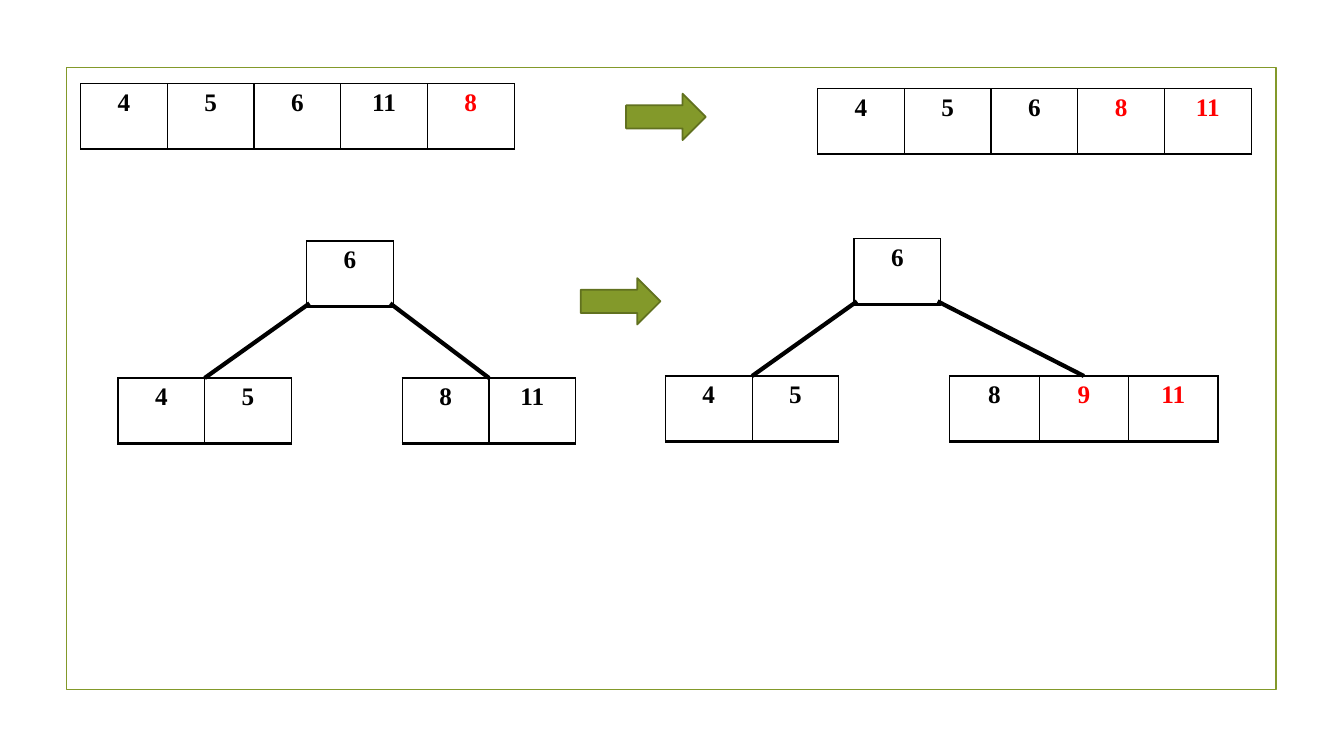
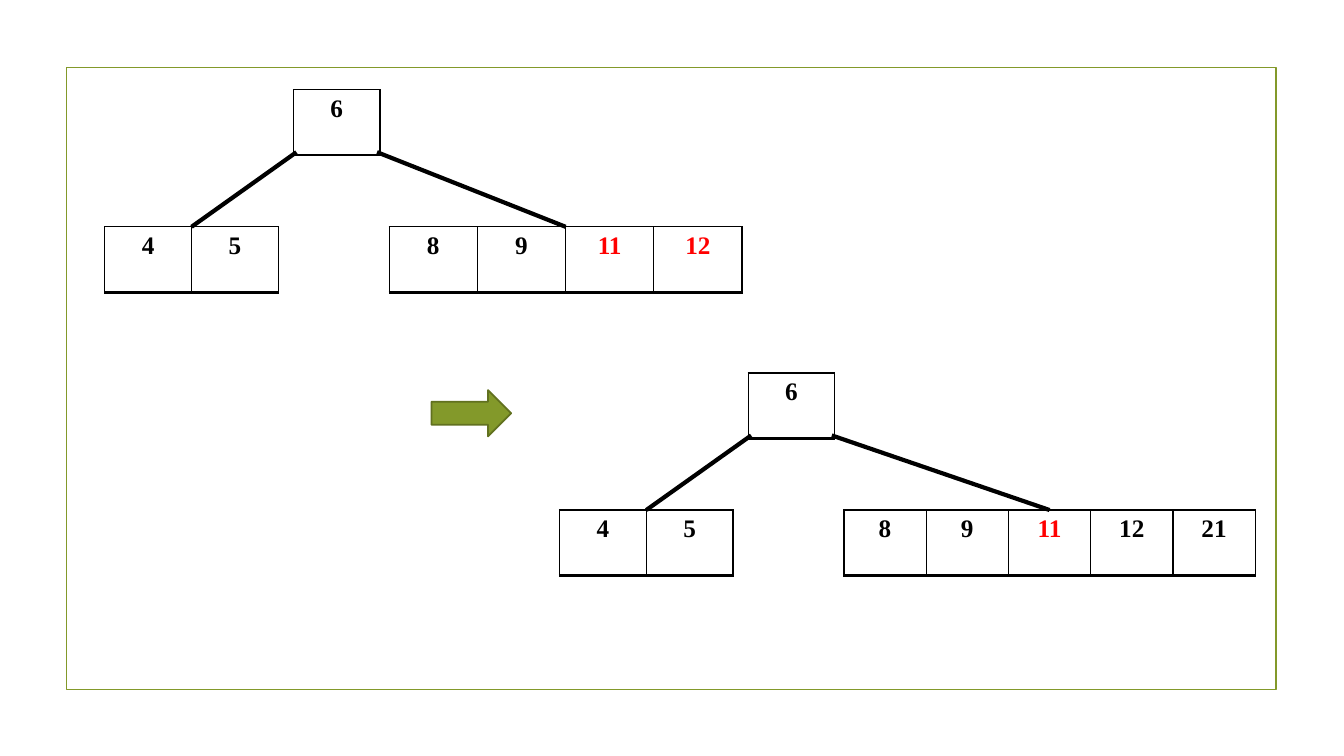
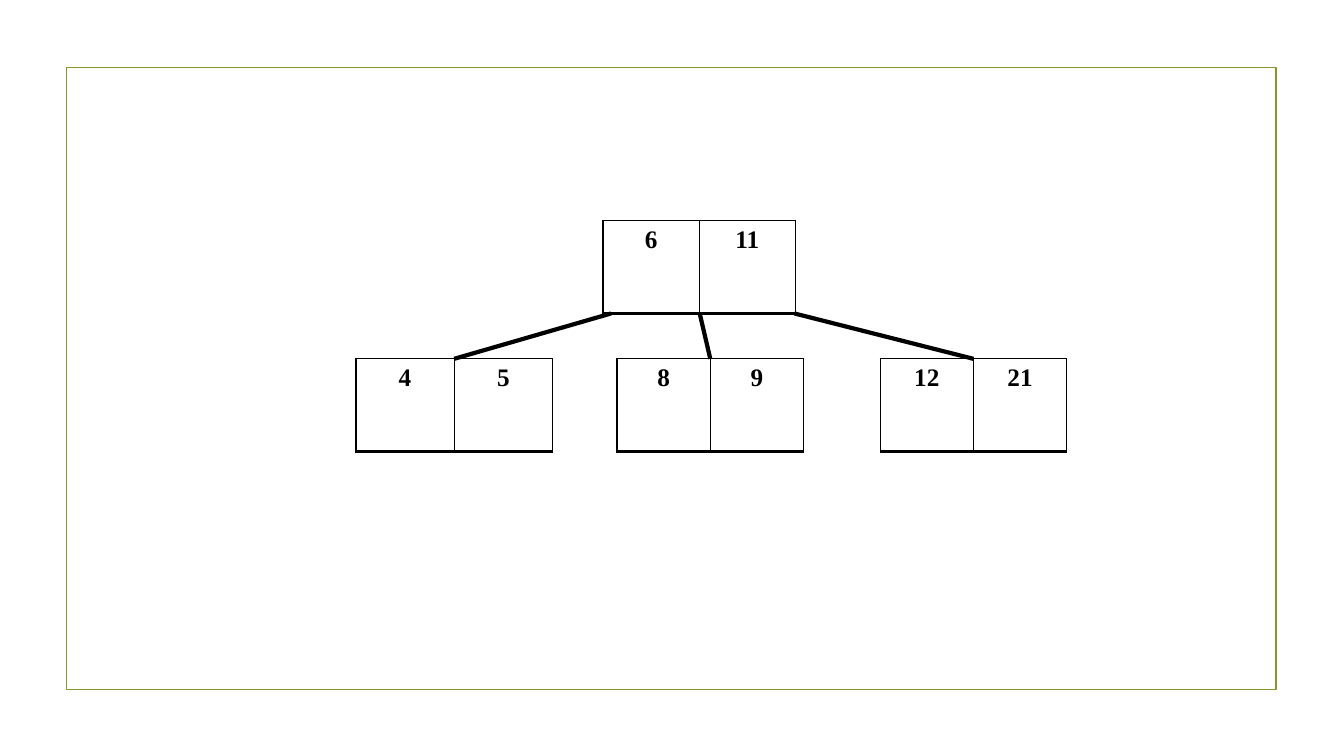
from lxml import etree
from pptx import Presentation
from pptx.dml.color import RGBColor
from pptx.enum.shapes import MSO_CONNECTOR, MSO_SHAPE
from pptx.enum.text import PP_ALIGN
from pptx.oxml.ns import qn
from pptx.util import Inches, Pt

RECTANGLE = MSO_SHAPE.RECTANGLE
RIGHT_ARROW = MSO_SHAPE.RIGHT_ARROW
STRAIGHT = MSO_CONNECTOR.STRAIGHT
CENTER = PP_ALIGN.CENTER

COLORS = {"accent": "83992A", "accent_dark": "61711F", "ink": "000000", "new": "FF0000"}
FONT = "Times New Roman"
BORDERS = {"a:lnL": 1, "a:lnR": 1, "a:lnT": 1, "a:lnB": 2}
CELL_HEIGHT = 0.65
PAIR_WIDTH = 1.72


class TreeDeck:
    """Draws framed slides of key arrays and B-trees in one style."""

    def __init__(self):
        self.presentation = Presentation()
        self.presentation.slide_width = Inches(13.33)
        self.presentation.slide_height = Inches(7.5)
        self.slide = None

    def color(self, name):
        return RGBColor.from_string(COLORS[name])

    def new_slide(self):
        self.slide = self.presentation.slides.add_slide(self.presentation.slide_layouts[6])
        self.outline(RECTANGLE, 0.66, 0.67, 12, 6.17, "accent").fill.background()

    def outline(self, kind, left, top, width, height, line):
        shape = self.slide.shapes.add_shape(
            kind, Inches(left), Inches(top), Inches(width), Inches(height))
        shape.shadow.inherit = False
        shape.line.color.rgb = self.color(line)
        shape.line.width = Pt(1.25)
        return shape

    def arrow(self, left, top):
        arrow = self.outline(RIGHT_ARROW, left, top, 0.79, 0.46, "accent_dark")
        arrow.fill.solid()
        arrow.fill.fore_color.rgb = self.color("accent")

    def branch(self, x1, y1, x2, y2):
        branch = self.slide.shapes.add_connector(
            STRAIGHT, Inches(x1), Inches(y1), Inches(x2), Inches(y2))
        branch.line.color.rgb = self.color("ink")
        branch.line.width = Pt(3)
        etree.SubElement(branch._element.spPr, qn("a:effectLst"))

    def borders(self, cell):
        properties = cell._tc.get_or_add_tcPr()
        for side, points in BORDERS.items():
            border = etree.SubElement(properties, qn(side), w=str(Pt(points)))
            fill = etree.SubElement(border, qn("a:solidFill"))
            etree.SubElement(fill, qn("a:srgbClr"), val=COLORS["ink"])

    def node(self, left, top, width, keys, new=(), height=CELL_HEIGHT):
        table = self.slide.shapes.add_table(
            1, len(keys), Inches(left), Inches(top), Inches(width), Inches(height)).table
        table.first_row = False
        table.horz_banding = False
        for column, key in enumerate(keys):
            table.columns[column].width = Inches(width / len(keys))
            cell = table.cell(0, column)
            self.borders(cell)
            cell.fill.background()
            paragraph = cell.text_frame.paragraphs[0]
            paragraph.text = str(key)
            paragraph.alignment = CENTER
            font = paragraph.runs[0].font
            font.name = FONT
            font.size = Pt(18)
            font.bold = True
            font.color.rgb = self.color("new" if key in new else "ink")

    def tree(self, left, top, right_width, right_keys, new=()):
        root_left, right_left, leaf_top = left + 1.87, left + 2.82, top + 1.36
        self.node(left, leaf_top, PAIR_WIDTH, [4, 5])
        self.node(right_left, leaf_top, right_width, right_keys, new)
        self.node(root_left, top, 0.86, [6])
        self.branch(root_left + 0.03, top + 0.62, left + PAIR_WIDTH / 2, leaf_top)
        self.branch(root_left + 0.83, top + 0.62, right_left + right_width / 2, leaf_top)


def main():
    deck = TreeDeck()

    deck.new_slide()
    deck.node(0.8, 0.83, 4.3, [4, 5, 6, 11, 8], [8])
    deck.arrow(6.21, 0.93)
    deck.node(8.11, 0.88, 4.3, [4, 5, 6, 8, 11], [8, 11])
    deck.tree(1.17, 2.39, PAIR_WIDTH, [8, 11])
    deck.arrow(5.76, 2.76)
    deck.tree(6.6, 2.37, 2.66, [8, 9, 11], [9, 11])

    deck.new_slide()
    deck.tree(1.04, 0.89, 3.5, [8, 9, 11, 12], [11, 12])
    deck.arrow(4.28, 3.87)
    deck.tree(5.55, 3.7, 4.08, [8, 9, 11, 12, 21], [11])

    deck.new_slide()
    root_top, leaf_top, tall = 2.19, 3.56, 0.92
    deck.node(5.98, root_top, 1.91, [6, 11], height=tall)
    leaves = [
        (3.53, 1.95, [4, 5], 6.06),
        (6.12, 1.85, [8, 9], 6.94),
        (8.73, 1.85, [12, 21], 7.88),
    ]
    for left, width, keys, branch_left in leaves:
        deck.node(left, leaf_top, width, keys, height=tall)
        deck.branch(branch_left, root_top + tall, left + width / 2, leaf_top)

    deck.presentation.save("out.pptx")


if __name__ == "__main__":
    main()
